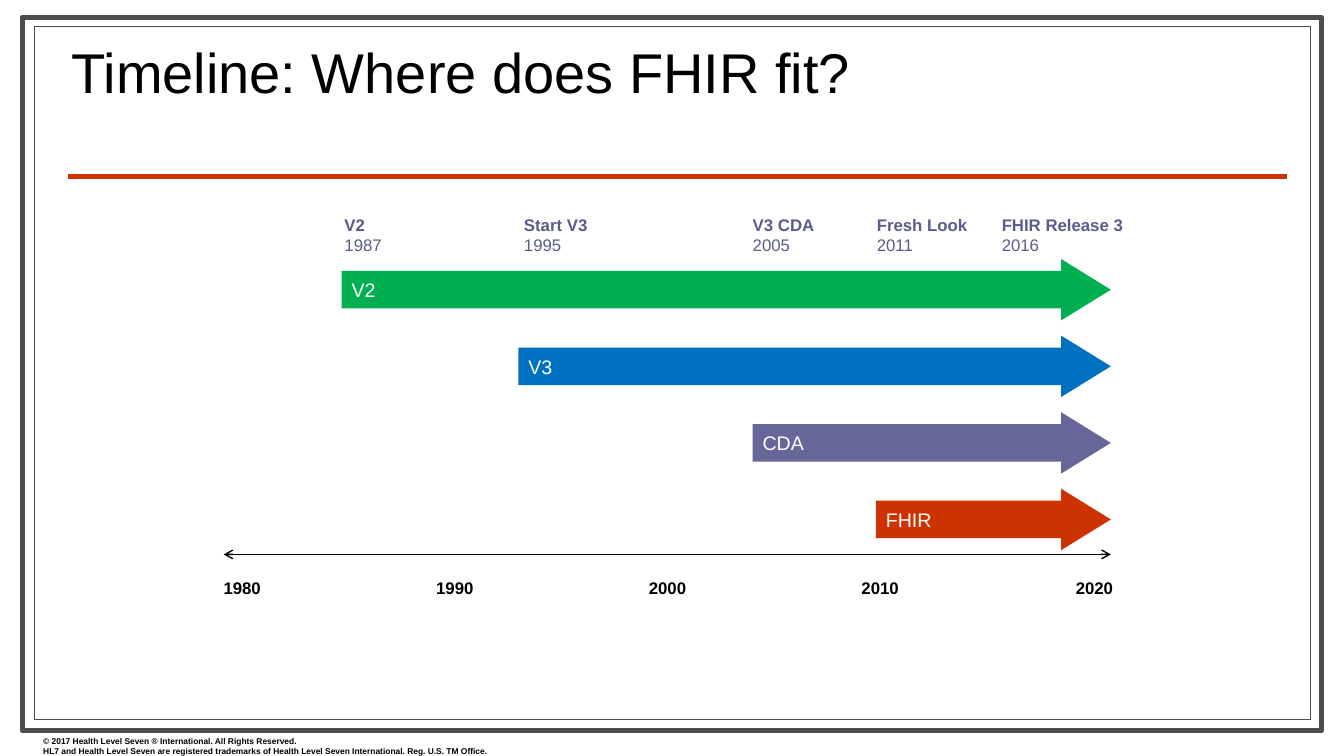
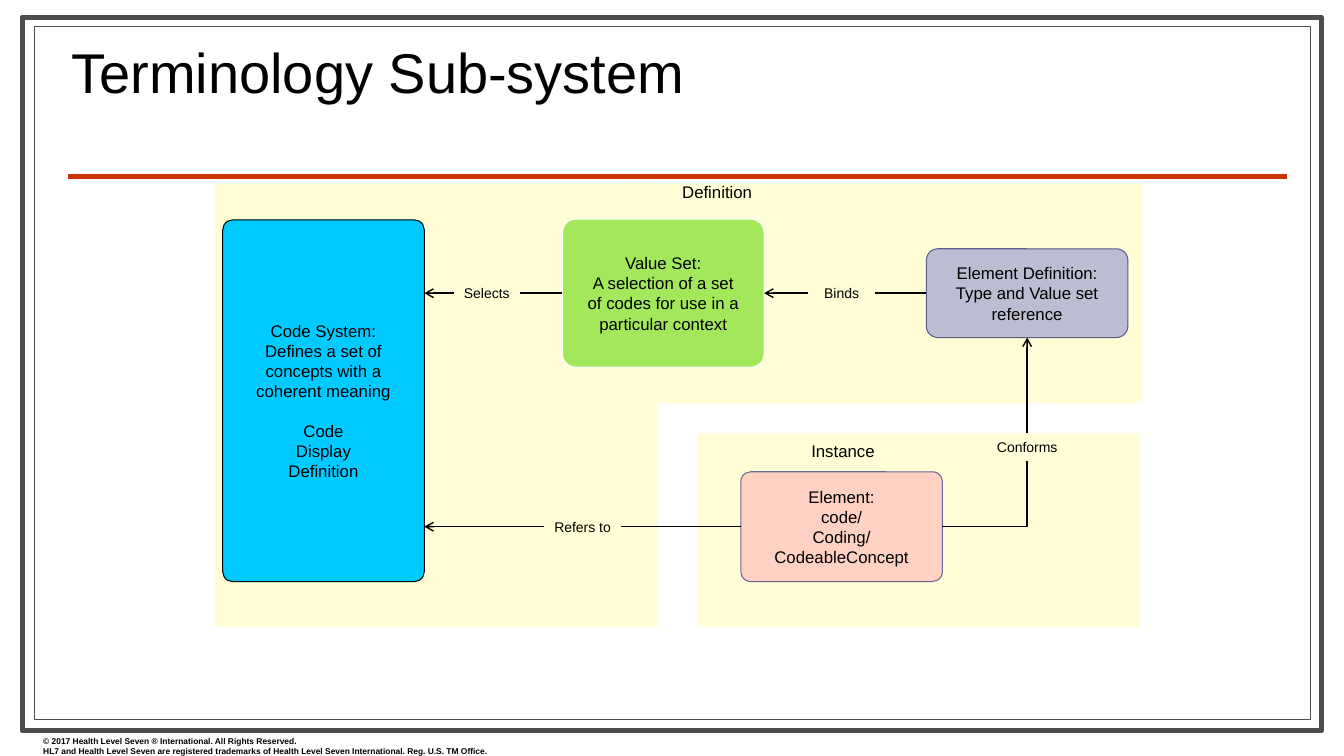
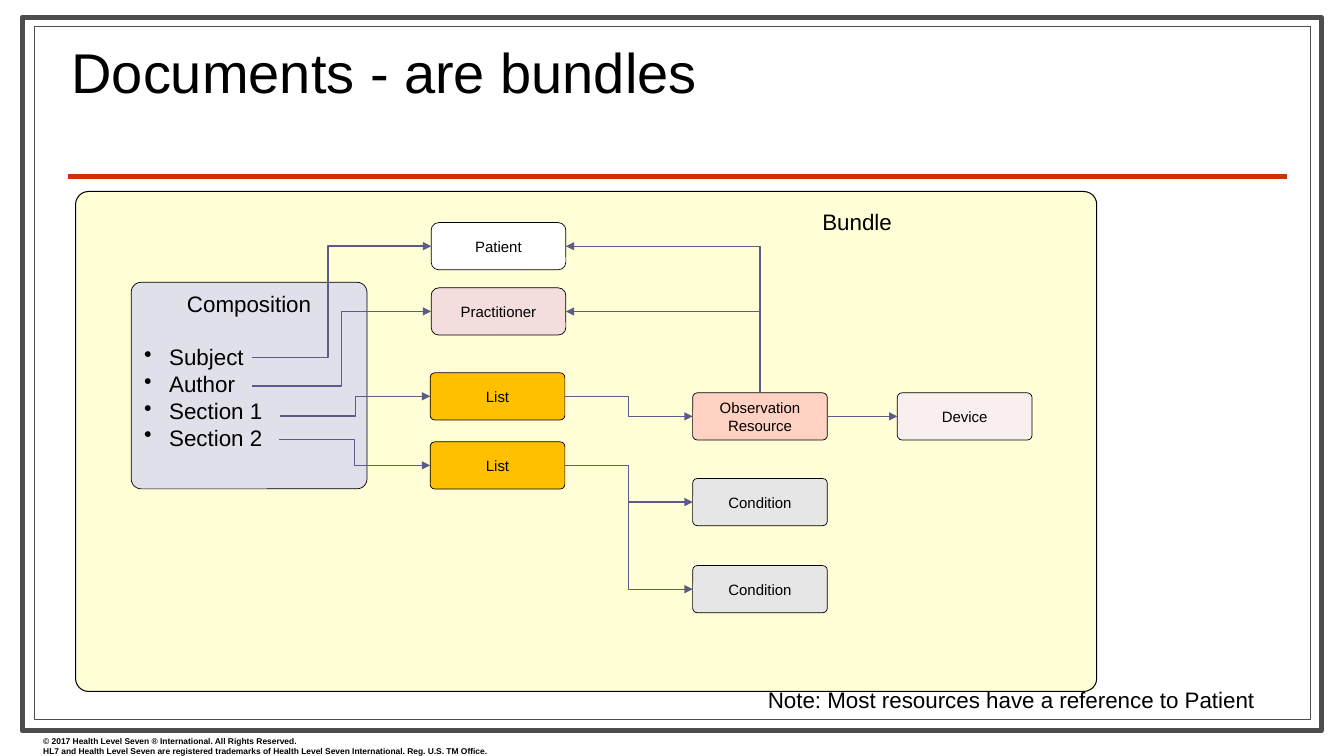
from lxml import etree
from pptx import Presentation
from pptx.dml.color import RGBColor
from pptx.enum import shapes, text
from pptx.oxml.ns import qn
from pptx.util import Pt

FONT = "Arial"
C = {
    "black": "000000", "white": "FFFFFF", "frame": "4D4D4D", "red": "CC3300",
    "green": "00B050", "blue": "0070C0", "purple": "666699", "violet": "5C5C8A",
    "cream": "FFFED6", "cyan": "00CAFF", "lime": "A3E75A", "peach": "FFD1C2",
    "lilac": "BCBCD2", "mist": "E0E0EB", "rose": "F3DEDD", "blush": "F9EFEE",
    "amber": "FFC000", "grey": "E6E6E6",
}
SHAPE = shapes.MSO_SHAPE
LINE = shapes.MSO_CONNECTOR
ALIGN = text.PP_ALIGN
ANCHOR = text.MSO_ANCHOR
TOP, LEFT, BOTTOM, RIGHT = range(4)


def rgb(name):
    return RGBColor.from_string(C[name])


def write(tf, paras, size, color="black", bold=False, align=ALIGN.LEFT):
    for i, content in enumerate(paras):
        p = tf.paragraphs[0] if i == 0 else tf.add_paragraph()
        p.alignment = align
        r = p.add_run()
        r.text = content
        r.font.name = FONT
        r.font.size = Pt(size)
        r.font.bold = bold
        r.font.color.rgb = rgb(color)
    return tf.paragraphs


def textbox(s, box, paras, size, wrap=True, **style):
    sp = s.shapes.add_textbox(*map(Pt, box))
    sp.text_frame.word_wrap = wrap
    write(sp.text_frame, paras, size, **style)
    return sp


def block(s, kind, box, fill, line=None, width=0.75, adj=()):
    sp = s.shapes.add_shape(kind, *map(Pt, box))
    sp.shadow.inherit = False
    sp.fill.solid()
    sp.fill.fore_color.rgb = rgb(fill)
    if line:
        sp.line.color.rgb = rgb(line)
        sp.line.width = Pt(width)
    else:
        sp.line.fill.background()
    for i, value in enumerate(adj):
        sp.adjustments[i] = value
    sp.text_frame.vertical_anchor = ANCHOR.MIDDLE
    return sp


def card(s, box, paras, fill, line="black", width=0.75, adj=0.1, size=12):
    sp = block(s, SHAPE.ROUNDED_RECTANGLE, box, fill, line, width, [adj])
    write(sp.text_frame, paras, size, align=ALIGN.CENTER)
    return sp


def position(end):
    a, b = end
    if isinstance(a, (int, float)):
        return Pt(a), Pt(b)
    x = {LEFT: a.left, RIGHT: a.left + a.width}.get(b, a.left + a.width // 2)
    y = {TOP: a.top, BOTTOM: a.top + a.height}.get(b, a.top + a.height // 2)
    return x, y


def connect(s, start, end, color="black", width=1, head=None, tail=None,
            kind=LINE.STRAIGHT):
    c = s.shapes.add_connector(kind, *position(start), *position(end))
    if kind == LINE.STRAIGHT:
        for (target, site), join in ((start, c.begin_connect), (end, c.end_connect)):
            if not isinstance(target, (int, float)):
                join(target, site)
    c.line.color.rgb = rgb(color)
    c.line.width = Pt(width)
    ln = c.line._get_or_add_ln()
    for tag, style in (("a:headEnd", head), ("a:tailEnd", tail)):
        if style:
            etree.SubElement(ln, qn(tag), type=style)
    etree.SubElement(c._element.spPr, qn("a:effectLst"))
    return c


def elbow(s, start, end, bend=0.5, **style):
    c = connect(s, start, end, kind=LINE.ELBOW, **style)
    geom = c._element.spPr.find(qn("a:prstGeom"))
    guides = geom.find(qn("a:avLst"))
    if guides is None:
        guides = etree.SubElement(geom, qn("a:avLst"))
    etree.SubElement(guides, qn("a:gd"), name="adj1", fmla=f"val {round(bend * 100000)}")


def corner(s, start, end, **style):
    c = connect(s, start, end, kind=LINE.ELBOW, **style)
    c._element.spPr.find(qn("a:prstGeom")).set("prst", "bentConnector2")


def bullet(p):
    pPr = p._p.get_or_add_pPr()
    pPr.set("marL", str(Pt(18)))
    pPr.set("indent", str(-Pt(18)))
    etree.SubElement(pPr, qn("a:buChar"), char="•")


def titled_slide(prs, title):
    s = prs.slides.add_slide(prs.slide_layouts[5])
    sp = s.shapes.title
    sp.left, sp.top, sp.width, sp.height = map(Pt, (43.9, 28.1, 883.4, 49.7))
    tf = sp.text_frame
    tf.word_wrap = True
    tf.auto_size = text.MSO_AUTO_SIZE.NONE
    tf.vertical_anchor = ANCHOR.BOTTOM
    write(tf, [title], 40)[0].line_spacing = 0.8
    return s


def frame_layout(s):
    layout = s.slide_layout
    for ph in list(layout.placeholders):
        if ph.placeholder_format.idx >= 10:
            ph.element.getparent().remove(ph.element)
    parts = [
        block(s, SHAPE.RECTANGLE, (15.8, 12.2, 928.1, 509.8), "white", "frame", 3.5),
        block(s, SHAPE.RECTANGLE, (24.5, 18.9, 911.5, 495.2), "white", "frame"),
        connect(s, (48.5, 126), (919.4, 126), "red", 3),
        textbox(s, (23.8, 522, 463.7, 18), [
            "© 2017 Health Level Seven ® International. All Rights Reserved.",
            "HL7 and Health Level Seven are registered trademarks of Health Level "
            "Seven International. Reg. U.S. TM Office.",
        ], 6, bold=True),
    ]
    for sp in parts:
        layout.shapes.element.append(sp._element)


def timeline(s):
    axis_left, axis_right = 159.8, 793.5
    connect(s, (axis_left, 396), (axis_right, 396), head="arrow", tail="arrow")
    for i, year in enumerate(range(1980, 2021, 10)):
        textbox(s, (152.6 + i * 151.9, 409, 42, 21.6), [str(year)], 12, bold=True,
                align=ALIGN.RIGHT if year == 2020 else ALIGN.LEFT)
    arrows = [("V2", 244.1, "green"), ("V3", 370.3, "blue"),
              ("CDA", 537.6, "purple"), ("FHIR", 625.7, "red")]
    for i, (name, left, fill) in enumerate(arrows):
        sp = block(s, SHAPE.RIGHT_ARROW, (left, 185 + i * 54.7, axis_right - left, 43.9),
                   fill, adj=(0.609, 0.809))
        write(sp.text_frame, [name], 14, "white")
    milestones = [("V2", 1987, 239, 44), ("Start V3", 1995, 367.2, 64),
                  ("V3 CDA", 2005, 530.6, 62), ("Fresh Look", 2011, 619.2, 82),
                  ("FHIR Release 3", 2016, 708.5, 108)]
    for name, year, left, width in milestones:
        sp = textbox(s, (left, 149.8, width, 36), [name, str(year)], 12,
                     color="violet", bold=True)
        sp.text_frame.paragraphs[1].runs[0].font.bold = False


def terminology(s):
    for box in ((498.2, 309.6, 316.1, 138.2), (153.4, 131, 316.1, 316.8),
                (442.8, 131, 373, 157)):
        block(s, SHAPE.RECTANGLE, box, "cream")
    code_system = card(s, (159.1, 157, 144, 258.5), [
        "Code System:", "Defines a set of concepts with a coherent meaning",
        "Code", "Display", "Definition"], "cyan", adj=0.05)
    code_system.text_frame.paragraphs[2].space_before = Pt(14)
    value_set = card(s, (401.8, 156.5, 144, 105.8), [
        "Value Set:", "A selection of a set",
        "of codes for use in a particular context"], "lime", "white", adj=0.09)
    element = card(s, (529.2, 337, 144, 78.4), [
        "Element:", "code/", "Coding/", "CodeableConcept"], "peach", "purple", adj=0.09)
    definition = card(s, (661.7, 177.7, 144, 63.4), [
        "Element Definition:", "Type and Value set reference"], "lilac", "violet", adj=0.13)

    selects, binds, refers, conforms = (
        textbox(s, (left, top, width, 19.4), [name], 10, wrap=False, align=ALIGN.CENTER)
        for name, left, top, width in (
            ("Selects", 324, 199.7, 47.5), ("Binds", 577.4, 199.7, 47.5),
            ("Refers to", 388.8, 366.5, 54.7), ("Conforms", 704.2, 309.6, 59)))
    code_right = 303.1
    for start, end, tail in (
            ((value_set, LEFT), (selects, RIGHT), None),
            ((selects, LEFT), (code_right, 209.4), "arrow"),
            ((definition, LEFT), (binds, RIGHT), None),
            ((binds, LEFT), (value_set, RIGHT), "arrow"),
            ((element, LEFT), (refers, RIGHT), None),
            ((refers, LEFT), (code_right, 376.2), "arrow"),
            ((conforms, TOP), (definition, BOTTOM), "arrow")):
        connect(s, start, end, tail=tail)
    corner(s, (element, RIGHT), (conforms, BOTTOM))
    textbox(s, (480.2, 126, 68, 21.6), ["Definition"], 12)
    textbox(s, (572.4, 311, 63, 21.6), ["Instance"], 12)


def bundle(s):
    block(s, SHAPE.ROUNDED_RECTANGLE, (54, 136.8, 729.4, 357.1), "cream", "black",
          adj=[0.026])

    def resource(name, left, top, fill, adj=0.1):
        return card(s, (left, top, 96.2, 33.7), [name], fill, width=0.5, adj=adj, size=10.7)

    composition = block(s, SHAPE.ROUNDED_RECTANGLE, (93.7, 201.6, 168.5, 147.6),
                        "mist", "black", 0.5, [0.049])
    composition.text_frame.vertical_anchor = ANCHOR.TOP
    heading, *items = write(composition.text_frame, [
        "Composition", "Subject", "Author", "Section 1", "Section 2"], 16)
    heading.alignment = ALIGN.CENTER
    for p in items:
        bullet(p)
    items[0].space_before = Pt(19)

    patient = resource("Patient", 308, 159, "white", 0.16)
    practitioner = resource("Practitioner", 308, 205.6, "rose", 0.16)
    list_1 = resource("List", 307.3, 266.3, "amber")
    list_2 = resource("List", 307.3, 315.6, "amber")
    observation = resource("Observation Resource", 494.8, 280.6, "peach")
    device = resource("Device", 641, 280.6, "blush")
    condition_1 = resource("Condition", 494.8, 341.8, "grey")
    condition_2 = resource("Condition", 494.8, 404, "grey")

    for start, target, bend in (
            ((180, 255.2), patient, 0.424), ((180, 275.6), practitioner, 0.5),
            ((200.2, 297.2), list_1, 0.5), ((199.4, 314), list_2, 0.5),
            ((list_1, RIGHT), observation, 0.5), ((list_2, RIGHT), condition_1, 0.5),
            ((list_2, RIGHT), condition_2, 0.5)):
        elbow(s, start, (target, LEFT), bend, color="violet", tail="triangle")
    for target in (patient, practitioner):
        corner(s, (target, RIGHT), (observation, TOP), color="violet", head="triangle")
    connect(s, (observation, RIGHT), (device, LEFT), "violet", tail="triangle")

    textbox(s, (541.4, 486.7, 370, 26.6),
            ["Note: Most resources have a reference to Patient"], 16)
    textbox(s, (580.3, 145.4, 67, 26.6), ["Bundle"], 16)


def main():
    prs = Presentation()
    prs.slide_width, prs.slide_height = Pt(960), Pt(540)
    for title, draw in (("Timeline: Where does FHIR fit?", timeline),
                        ("Terminology Sub-system", terminology),
                        ("Documents - are bundles", bundle)):
        s = titled_slide(prs, title)
        if len(prs.slides) == 1:
            frame_layout(s)
        draw(s)
    prs.save("out.pptx")


if __name__ == "__main__":
    main()
